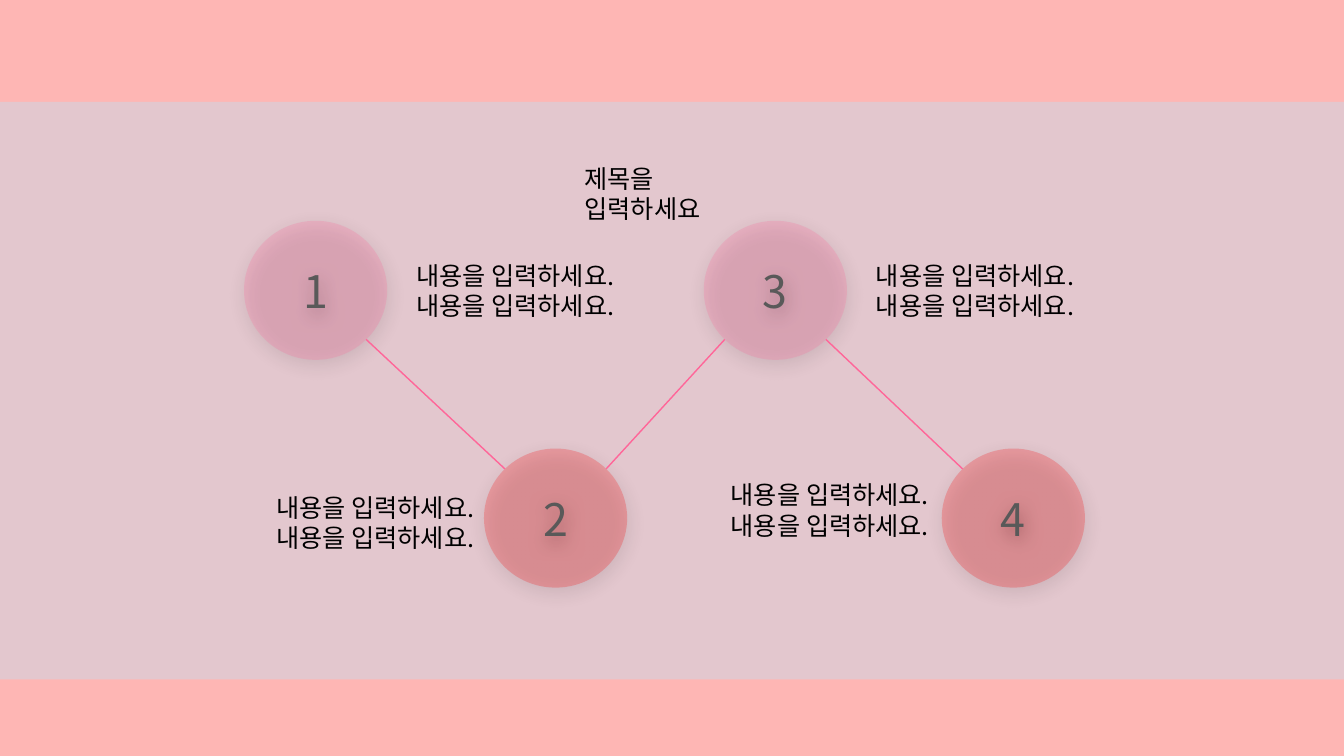
import math
from dataclasses import dataclass

import pptx
import pptx.util
import pptx.dml.color
import pptx.enum.shapes
import pptx.enum.text
import pptx.oxml
import pptx.oxml.ns
from pptx.util import Inches


@dataclass(frozen=True)
class Theme:
    font: str = "Noto Sans CJK KR"
    backdrop: str = "FEB6B4"
    panel: str = "E3C7CE"
    pink: str = "FF6699"
    red: str = "FF0000"
    number: str = "595959"
    text: str = "000000"
    number_size: int = 32
    text_size: int = 18
    circle_alpha: int = 22


THEME = Theme()
SHAPE = pptx.enum.shapes.MSO_SHAPE
ALIGN = pptx.enum.text.PP_ALIGN
SLIDE_W, SLIDE_H = 13.33, 7.5
CIRCLE_W, CIRCLE_H = 1.42, 1.38
UPPER_TOP, LOWER_TOP = 2.19, 4.45
BODY = ["내용을 입력하세요."] * 2

# Number, circle left and top, colour, text left and top
STEPS = [
    ("1", 2.42, UPPER_TOP, THEME.pink, 4.03, 2.53),
    ("2", 4.80, LOWER_TOP, THEME.red, 2.64, 4.83),
    ("3", 6.98, UPPER_TOP, THEME.pink, 8.59, 2.53),
    ("4", 9.34, LOWER_TOP, THEME.red, 7.15, 4.71),
]


def rgb(color):
    return pptx.dml.color.RGBColor.from_string(color)


def add_run(p, text, size, color):
    r = p.add_run()
    r.text = text
    r.font.size = pptx.util.Pt(size)
    r.font.name = THEME.font
    r.font.color.rgb = rgb(color)
    # Hangul takes the East Asian typeface
    ea = r.font._element.makeelement(pptx.oxml.ns.qn("a:ea"), {"typeface": THEME.font})
    r.font._element.append(ea)


def add_filled(s, kind, left, top, width, height, color):
    sp = s.shapes.add_shape(kind, Inches(left), Inches(top), Inches(width), Inches(height))
    sp.shadow.inherit = False
    sp.fill.solid()
    sp.fill.fore_color.rgb = rgb(color)
    sp.line.fill.background()
    return sp


def add_circle(s, number, left, top, color):
    sp = add_filled(s, SHAPE.OVAL, left, top, CIRCLE_W, CIRCLE_H, color)
    # Translucent fill and soft shadow
    spPr = sp._element.spPr
    clr = spPr.find(".//" + pptx.oxml.ns.qn("a:srgbClr"))
    clr.append(clr.makeelement(pptx.oxml.ns.qn("a:alpha"), {"val": str(THEME.circle_alpha * 1000)}))
    shadow = pptx.oxml.parse_xml(
        f'<a:outerShdw {pptx.oxml.ns.nsdecls("a")} blurRad="{pptx.util.Pt(14)}" '
        f'dist="{pptx.util.Pt(4)}" dir="{76 * 60000}" algn="ctr" rotWithShape="0">'
        '<a:srgbClr val="000000"><a:alpha val="43000"/></a:srgbClr></a:outerShdw>')
    spPr.find(pptx.oxml.ns.qn("a:effectLst")).append(shadow)
    tf = sp.text_frame
    tf.vertical_anchor = pptx.enum.text.MSO_ANCHOR.MIDDLE
    p = tf.paragraphs[0]
    p.alignment = ALIGN.CENTER
    add_run(p, number, THEME.number_size, THEME.number)


def add_text(s, lines, left, top, width, height, wrap=False):
    tf = s.shapes.add_textbox(Inches(left), Inches(top), Inches(width), Inches(height)).text_frame
    tf.word_wrap = wrap
    tf.auto_size = pptx.enum.text.MSO_AUTO_SIZE.SHAPE_TO_FIT_TEXT
    for i, line in enumerate(lines):
        p = tf.add_paragraph() if i else tf.paragraphs[0]
        add_run(p, line, THEME.text_size, THEME.text)


def rim_point(left, top, side, down):
    """Diagonal point on a circle's rim; side and down are 1 or -1."""
    k = math.sqrt(0.5) / 2
    return (Inches(left + CIRCLE_W * (0.5 + side * k)),
            Inches(top + CIRCLE_H * (0.5 + down * k)))


def add_link(s, start, end):
    (_, x1, y1, *_), (_, x2, y2, *_) = start, end
    down = 1 if y2 > y1 else -1
    line = s.shapes.add_connector(pptx.enum.shapes.MSO_CONNECTOR.STRAIGHT,
                                  *rim_point(x1, y1, 1, down), *rim_point(x2, y2, -1, -down))
    line.line.color.rgb = rgb(THEME.pink)
    line.line.width = pptx.util.Pt(1)
    spPr = line._element.spPr
    spPr.append(spPr.makeelement(pptx.oxml.ns.qn("a:effectLst"), {}))


def main():
    prs = pptx.Presentation()
    prs.slide_width, prs.slide_height = Inches(SLIDE_W), Inches(SLIDE_H)
    s = prs.slides.add_slide(prs.slide_layouts[6])

    # Backdrop and panel
    add_filled(s, SHAPE.RECTANGLE, 0, 0, SLIDE_W, SLIDE_H, THEME.backdrop)
    add_filled(s, SHAPE.RECTANGLE, 0, 1.01, SLIDE_W, 5.73, THEME.panel)

    # Numbered circles and the links between them
    for number, left, top, color, *_ in STEPS:
        add_circle(s, number, left, top, color)
    for start, end in zip(STEPS, STEPS[1:]):
        add_link(s, start, end)

    # Step texts and title
    for *_, left, top in STEPS:
        add_text(s, BODY, left, top, 2.16, 0.71)
    add_text(s, ["제목을 입력하세요"], 5.7, 1.57, 1.5, 0.71, wrap=True)

    prs.save("out.pptx")


if __name__ == "__main__":
    main()
